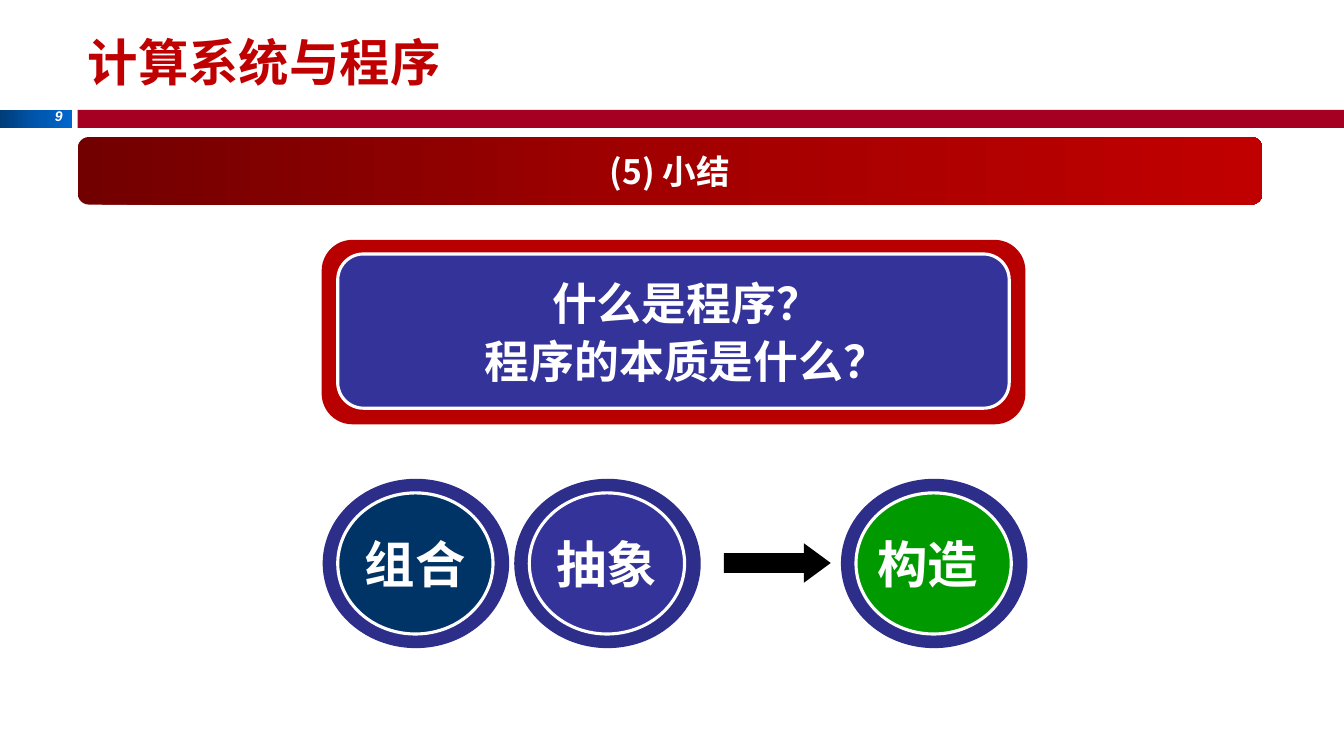
from copy import deepcopy

from pptx import Presentation
from pptx.dml.color import RGBColor
from pptx.enum.shapes import MSO_SHAPE as Shape
from pptx.enum.text import MSO_ANCHOR as Anchor, PP_ALIGN as Align
from pptx.oxml.ns import qn
from pptx.util import Inches, Pt

WHITE = RGBColor(0xFF, 0xFF, 0xFF)
BLACK = RGBColor(0x00, 0x00, 0x00)
TITLE_RED = RGBColor(0xC0, 0x00, 0x00)
FRAME_RED = RGBColor(0xB9, 0x00, 0x00)
CRIMSON = RGBColor(0xA5, 0x00, 0x21)
RING_BLUE = RGBColor(0x2D, 0x2D, 0x8A)
INDIGO = RGBColor(0x33, 0x33, 0x99)
NAVY = RGBColor(0x00, 0x33, 0x66)
GREEN = RGBColor(0x00, 0x99, 0x00)
BLUES = [RGBColor(0x00, 0x3C, 0x79), RGBColor(0x00, 0x56, 0xAC), RGBColor(0x00, 0x66, 0xCC)]
REDS = [RGBColor(0x72, 0x00, 0x00), RGBColor(0xA2, 0x00, 0x00), TITLE_RED]


class Slide:
    font = "Noto Sans CJK SC"

    def __init__(self, prs):
        self.s = prs.slides.add_slide(prs.slide_layouts[5])

    def label(self, tf, text, size, color=WHITE, align=Align.CENTER, font=font, italic=False):
        """Fill a text frame with formatted bold text."""
        tf.text = text
        tf.word_wrap = True
        tf.vertical_anchor = Anchor.MIDDLE
        for i, p in enumerate(tf.paragraphs):
            p.alignment = align
            if i:
                p.space_before = Pt(3)
            for r in p.runs:
                r.font.size, r.font.bold, r.font.italic = Pt(size), True, italic
                r.font.name = font
                r.font.color.rgb = color
                ea = r.font._element.makeelement(qn("a:ea"), {"typeface": font})
                r.font._element.find(qn("a:latin")).addnext(ea)

    def title(self, text, *box):
        sp = self.s.shapes.title
        sp.left, sp.top, sp.width, sp.height = map(Inches, box)
        self.label(sp.text_frame, text, 36, TITLE_RED, Align.LEFT)

    def shape(self, kind, box, fill, adjust=(), outlined=False):
        """Add a preset shape; a list of colours as fill makes a gradient."""
        sp = self.s.shapes.add_shape(kind, *map(Inches, box))
        sp.shadow.inherit = False
        for i, value in enumerate(adjust):
            sp.adjustments[i] = value
        if isinstance(fill, list):
            self.gradient(sp, fill)
        else:
            sp.fill.solid()
            sp.fill.fore_color.rgb = fill
        if outlined:
            sp.line.color.rgb = WHITE
            sp.line.width = Pt(2.25)
        else:
            sp.line.fill.background()
        return sp

    def gradient(self, sp, colors):
        sp.fill.gradient()
        sp.fill.gradient_angle = 0
        stops = sp._element.spPr.find(".//" + qn("a:gsLst"))
        for _ in colors[2:]:
            stops.append(deepcopy(stops[0]))
        for i, (stop, color) in enumerate(zip(sp.fill.gradient_stops, colors)):
            stop.color.rgb = color
            stop.position = i / (len(colors) - 1)

    def number(self, text, *box):
        tf = self.s.shapes.add_textbox(*map(Inches, box)).text_frame
        self.label(tf, text, 10, align=Align.RIGHT, font="Arial", italic=True)

    def banner(self, text, *box):
        sp = self.shape(Shape.ROUNDED_RECTANGLE, box, REDS)
        self.label(sp.text_frame, text, 24)

    def question_panel(self, text):
        self.shape(Shape.ROUNDED_RECTANGLE, (3.19, 2.38, 6.98, 1.83), FRAME_RED)
        sp = self.shape(Shape.ROUNDED_RECTANGLE, (3.35, 2.52, 6.66, 1.53), INDIGO, outlined=True)
        tf = sp.text_frame
        self.label(tf, text, 32)
        tf.margin_left = Inches(0.36)

    def badge(self, text, left, color, top=4.75):
        """Add a ringed ellipse with a word in it."""
        self.shape(Shape.DONUT, (left, top, 1.85, 1.68), RING_BLUE, [0.09])
        sp = self.shape(Shape.OVAL, (left + 0.15, top + 0.14, 1.54, 1.4), color, outlined=True)
        tf = sp.text_frame
        self.label(tf, text, 36)
        tf.word_wrap = False
        tf.margin_left = tf.margin_right = 0


def main():
    prs = Presentation()
    prs.slide_width, prs.slide_height = Inches(13.33), Inches(7.5)
    slide = Slide(prs)
    slide.title("计算系统与程序", 0.77, 0.19, 11.67, 0.83)
    slide.shape(Shape.RECTANGLE, (0, 1.09, 0.71, 0.18), BLUES)
    slide.shape(Shape.RECTANGLE, (0.77, 1.09, 12.56, 0.18), CRIMSON)
    slide.number("9", 0.35, 1.02, 0.37, 0.27)
    slide.banner("(5) 小结", 0.77, 1.36, 11.75, 0.67)
    slide.question_panel("什么是程序？\n程序的本质是什么？")
    for text, left, color in [("组合", 3.2, NAVY), ("抽象", 5.1, INDIGO), ("构造 ", 8.34, GREEN)]:
        slide.badge(text, left, color)
    slide.shape(Shape.RIGHT_ARROW, (7.18, 5.39, 1.06, 0.39), BLACK, [0.5, 0.68])
    prs.save("out.pptx")


if __name__ == "__main__":
    main()
